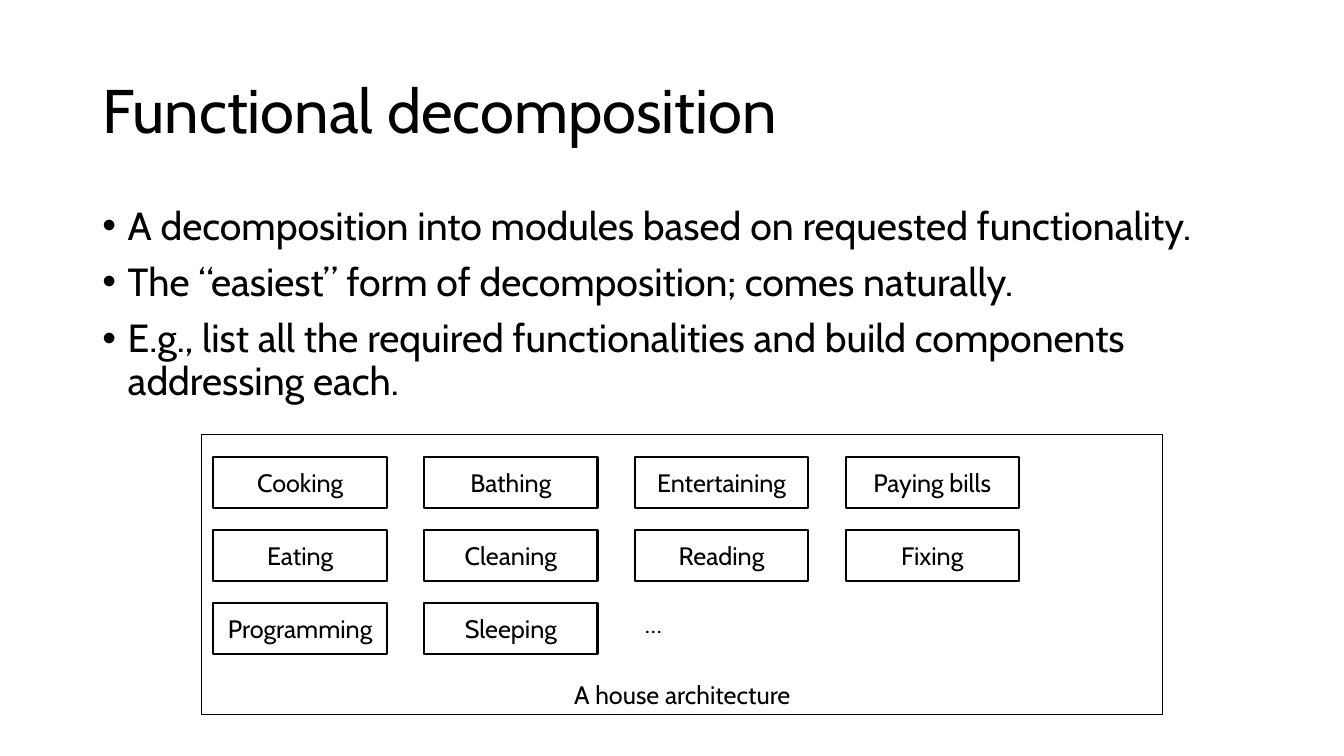
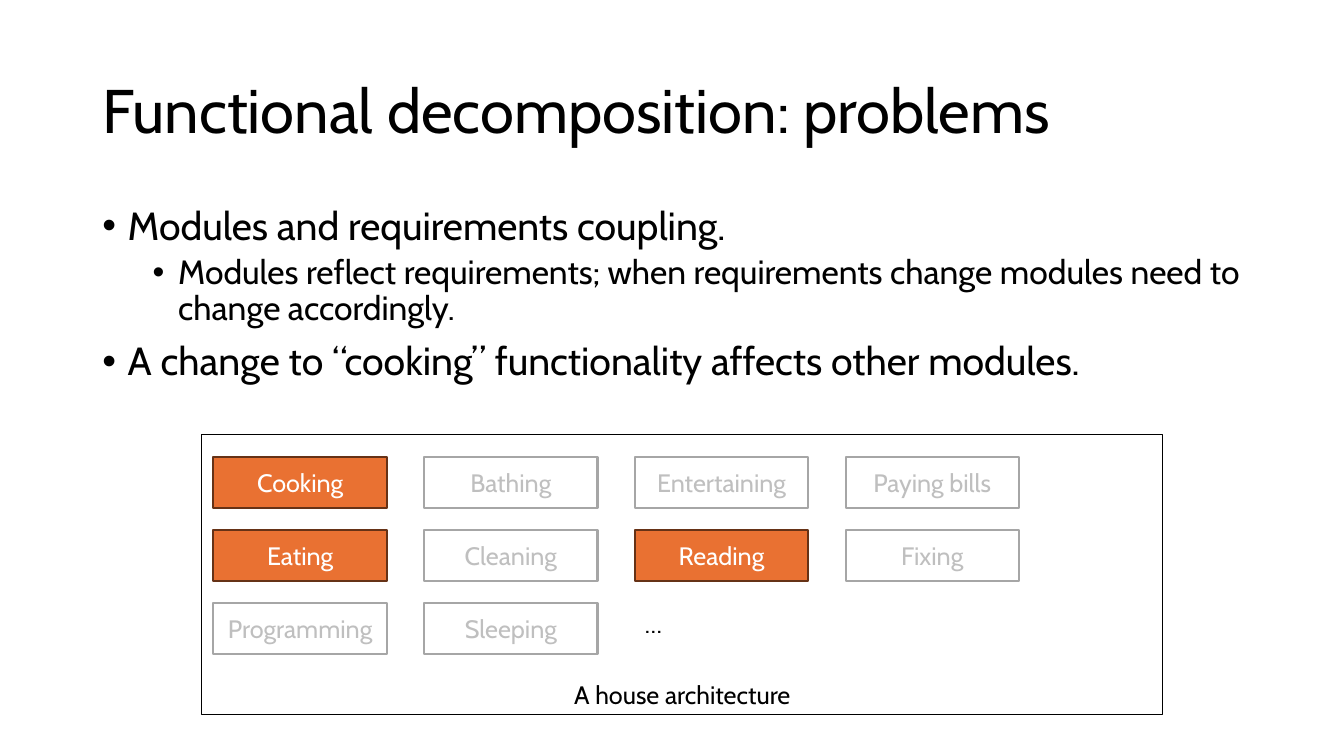
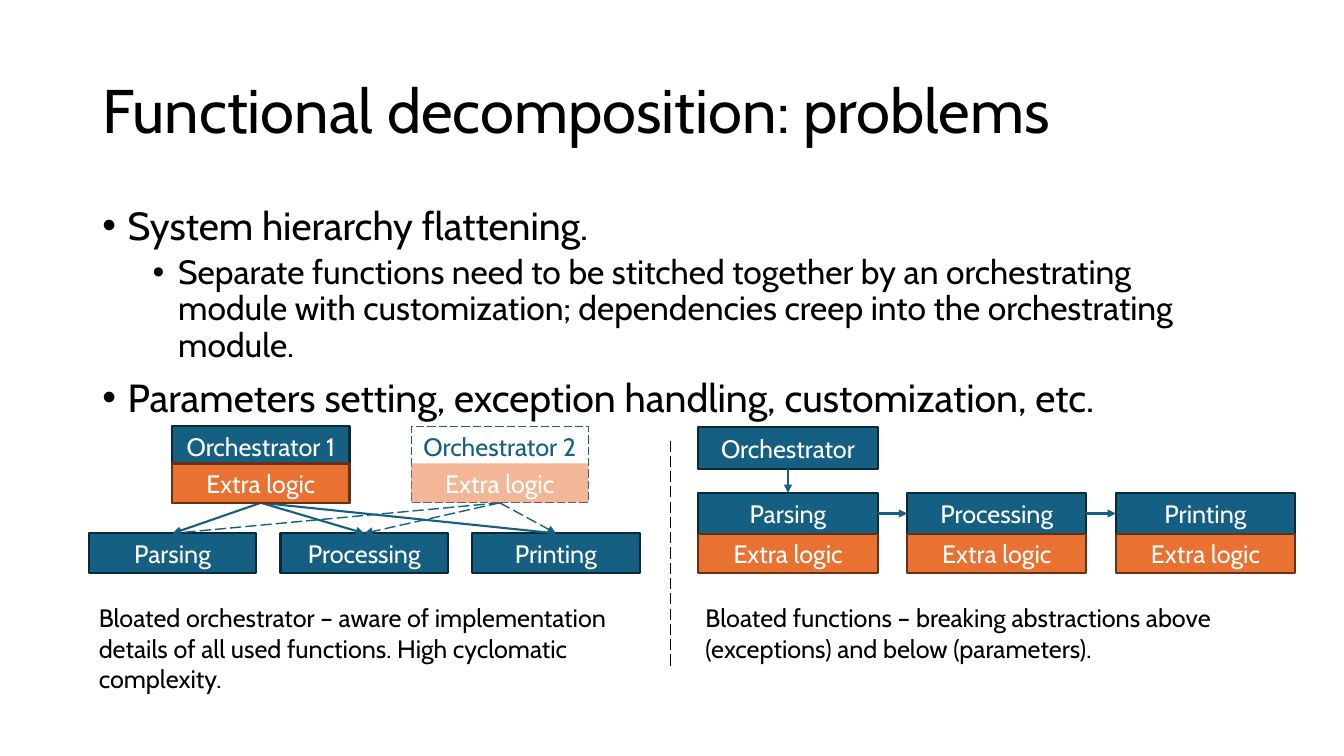
from dataclasses import dataclass
from itertools import pairwise

from lxml.etree import SubElement
from pptx import Presentation
from pptx.dml.color import RGBColor
from pptx.enum.dml import MSO_LINE as Dash
from pptx.enum.shapes import MSO_CONNECTOR as Connector, MSO_SHAPE as Shape
from pptx.enum.text import MSO_ANCHOR as Anchor, MSO_AUTO_SIZE as AutoSize, PP_ALIGN as Align
from pptx.oxml.ns import qn
from pptx.util import Cm, Pt

TOP, LEFT, BOTTOM, RIGHT = range(4)


@dataclass(frozen=True)
class Theme:
    font: str = "Cabin"
    black: str = "000000"
    white: str = "FFFFFF"
    blue: str = "156082"
    dark_blue: str = "092A39"
    orange: str = "E97132"
    dark_orange: str = "663216"
    gray: str = "A6A6A6"
    light_gray: str = "BFBFBF"
    title_size: int = 44
    bullet_sizes: tuple = (28, 24)
    label_size: int = 18


THEME = Theme()


@dataclass(frozen=True)
class Look:
    fill: str | None = None
    line: str | None = None
    text: str = THEME.black
    weight: float = 1.5
    dash: Dash | None = None
    opacity: int = 100


PLAIN = Look(THEME.white, THEME.black)
FADED = Look(THEME.white, THEME.gray, THEME.light_gray)
EXTRA = Look(THEME.orange, THEME.dark_orange, THEME.white)
MODULE = Look(THEME.blue, THEME.dark_blue, THEME.white)
FRAME = Look(line=THEME.black, weight=0.75)
OPTIONAL = Look(line=THEME.blue, text=THEME.blue, weight=0.75, dash=Dash.LONG_DASH)
OPTIONAL_EXTRA = Look(THEME.orange, text=THEME.white, opacity=50)
CALL = Look(line=THEME.blue)
OPTIONAL_CALL = Look(line=THEME.blue, weight=1, dash=Dash.LONG_DASH)
DIVIDER = Look(line=THEME.black, weight=1, dash=Dash.LONG_DASH)


def write(paragraph, text, *, size=THEME.label_size, color=THEME.black,
          align=Align.LEFT, spacing=None, before=0):
    paragraph.alignment = align
    paragraph.space_before = Pt(before)
    if spacing:
        paragraph.line_spacing = spacing
    run = paragraph.add_run()
    run.text = text
    run.font.name = THEME.font
    run.font.size = Pt(size)
    run.font.color.rgb = RGBColor.from_string(color)


def add_bullet(paragraph, level):
    paragraph.level = level
    properties = paragraph._p.get_or_add_pPr()
    properties.set("marL", str(Cm(0.64 + 1.27 * level)))
    properties.set("indent", str(-Cm(0.64)))
    SubElement(properties, qn("a:buFont"), typeface="Arial")
    SubElement(properties, qn("a:buChar"), char="•")


def draw_line(line, look):
    if look.line is None:
        line.fill.background()
        return
    line.color.rgb = RGBColor.from_string(look.line)
    line.width = Pt(look.weight)
    if look.dash:
        line.dash_style = look.dash


class Deck:
    """Holds the presentation and the slide being drawn; lengths are in cm."""

    def __init__(self, theme):
        self.theme = theme
        self.file = Presentation()
        self.file.slide_width, self.file.slide_height = Cm(33.87), Cm(19.05)
        self.slide = None

    def start(self, heading):
        self.slide = self.file.slides.add_slide(self.file.slide_layouts[5])
        title = self.slide.shapes.title
        title.left, title.top, title.width, title.height = map(Cm, (2.33, 1.01, 29.21, 3.68))
        frame = title.text_frame
        frame.word_wrap, frame.auto_size = True, AutoSize.NONE
        frame.vertical_anchor = Anchor.MIDDLE
        write(frame.paragraphs[0], heading, size=self.theme.title_size, spacing=0.9)

    def text_area(self, x, y, width, height):
        frame = self.slide.shapes.add_textbox(*map(Cm, (x, y, width, height))).text_frame
        frame.word_wrap = True
        return frame

    def bullets(self, *items, height=12.09):
        """Each item is a pair of level and text."""
        frame = self.text_area(2.33, 5.07, 29.21, height)
        for number, (level, text) in enumerate(items):
            paragraph = frame.add_paragraph() if number else frame.paragraphs[0]
            write(paragraph, text, size=self.theme.bullet_sizes[level],
                  spacing=0.9, before=5 if level else 10)
            add_bullet(paragraph, level)

    def caption(self, text, x, y, width, height):
        write(self.text_area(x, y, width, height).paragraphs[0], text)

    def box(self, text, x, y, width, height, look, anchor=Anchor.MIDDLE):
        box = self.slide.shapes.add_shape(Shape.RECTANGLE, *map(Cm, (x, y, width, height)))
        box.shadow.inherit = False
        if look.fill:
            box.fill.solid()
            box.fill.fore_color.rgb = RGBColor.from_string(look.fill)
            if look.opacity < 100:
                color = box.fill._xPr.find(qn("a:solidFill"))[0]
                SubElement(color, qn("a:alpha"), val=str(look.opacity * 1000))
        else:
            box.fill.background()
        draw_line(box.line, look)
        frame = box.text_frame
        frame.word_wrap, frame.vertical_anchor = True, anchor
        write(frame.paragraphs[0], text, color=look.text, align=Align.CENTER)
        return box

    def line(self, look, x1=0, y1=0, x2=0, y2=0):
        line = self.slide.shapes.add_connector(Connector.STRAIGHT, *map(Cm, (x1, y1, x2, y2)))
        draw_line(line.line, look)
        SubElement(line._element.spPr, qn("a:effectLst"))
        return line

    def arrow(self, source, source_side, target, target_side, look=CALL):
        arrow = self.line(look)
        arrow.begin_connect(source, source_side)
        arrow.end_connect(target, target_side)
        SubElement(arrow.line._get_or_add_ln(), qn("a:tailEnd"), type="triangle")


ROOMS = (
    ("Cooking", "Bathing", "Entertaining", "Paying bills"),
    ("Eating", "Cleaning", "Reading", "Fixing"),
    ("Programming", "Sleeping"),
)
STEPS = ("Parsing", "Processing", "Printing")


def draw_house(deck, look, affected=()):
    for row, functions in enumerate(ROOMS):
        for column, function in enumerate(functions):
            deck.box(function, 5.38 + 5.31 * column, 11.51 + 1.84 * row, 4.37, 1.3,
                     EXTRA if function in affected else look)
    deck.box("A house architecture", 5.08, 10.95, 24.23, 7.06, FRAME, Anchor.BOTTOM)
    deck.caption("…", 16, 15.21, 3.25, 1.02)


def draw_bloated_orchestrator(deck):
    functions = [deck.box(step, 2.24 + 4.83 * column, 13.44, 4.22, 0.99, MODULE)
                 for column, step in enumerate(STEPS)]
    for name, x, look, extra, call in (
        ("Orchestrator 1", 4.34, MODULE, EXTRA, CALL),
        ("Orchestrator 2", 10.36, OPTIONAL, OPTIONAL_EXTRA, OPTIONAL_CALL),
    ):
        orchestrator = deck.box(name, x, 10.74, 4.47, 1.93, look, Anchor.TOP)
        for function in functions:
            deck.arrow(orchestrator, BOTTOM, function, TOP, call)
        deck.box("Extra logic", x, 11.68, 4.47, 0.99, extra)
    deck.caption("Bloated orchestrator – aware of implementation details of all used "
                 "functions. High cyclomatic complexity.", 2.24, 15.06, 14.1, 2.57)


def draw_bloated_functions(deck):
    left, width, height = 17.6, 4.52, 1.04
    orchestrator = deck.box("Orchestrator", left, 10.77, width, height, MODULE)
    functions = []
    for column, step in enumerate(STEPS):
        x = left + 5.26 * column
        functions.append(deck.box(step, x, 12.42, width, height, MODULE))
        deck.box("Extra logic", x, 13.46, width, 0.99, EXTRA)
    deck.arrow(orchestrator, BOTTOM, functions[0], TOP)
    for function, following in pairwise(functions):
        deck.arrow(function, RIGHT, following, LEFT)
    deck.caption("Bloated functions – breaking abstractions above (exceptions) and "
                 "below (parameters).", 17.53, 15.06, 14.1, 1.8)


def main():
    deck = Deck(THEME)

    deck.start("Functional decomposition")
    deck.bullets(
        (0, "A decomposition into modules based on requested functionality."),
        (0, "The “easiest” form of decomposition; comes naturally."),
        (0, "E.g., list all the required functionalities and build components "
            "addressing each."),
    )
    draw_house(deck, PLAIN)

    deck.start("Functional decomposition: problems")
    deck.bullets(
        (0, "Modules and requirements coupling."),
        (1, "Modules reflect requirements; when requirements change modules need to "
            "change accordingly."),
        (0, "A change to “cooking” functionality affects other modules."),
    )
    draw_house(deck, FADED, affected=("Cooking", "Eating", "Reading"))

    deck.start("Functional decomposition: problems")
    deck.bullets(
        (0, "System hierarchy flattening."),
        (1, "Separate functions need to be stitched together by an orchestrating module "
            "with customization; dependencies creep into the orchestrating module."),
        (0, "Parameters setting, exception handling, customization, etc."),
        height=6.02,
    )
    draw_bloated_orchestrator(deck)
    deck.line(DIVIDER, 16.89, 11.1, 16.89, 16.84)
    draw_bloated_functions(deck)

    deck.file.save("out.pptx")


if __name__ == "__main__":
    main()
